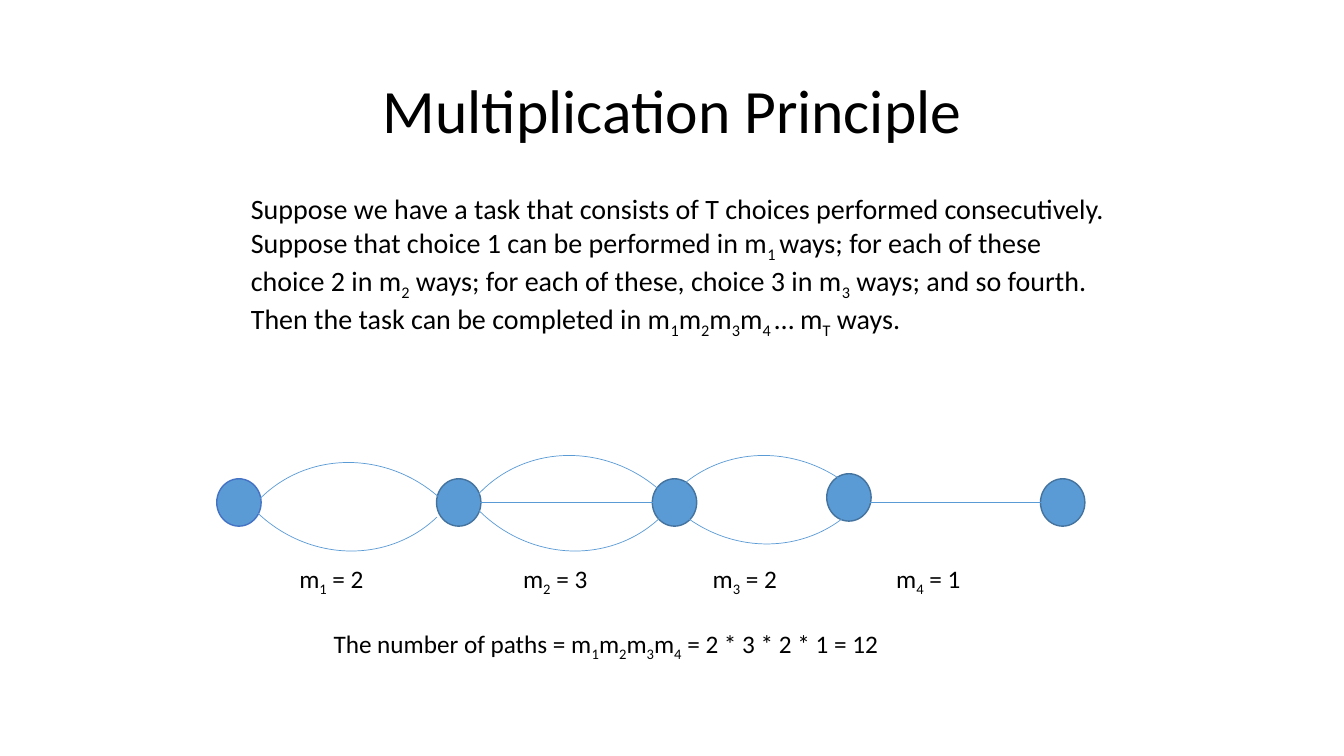
"""Builds a slide on the multiplication principle with a diagram of paths."""
from lxml import etree
from pptx import Presentation
from pptx.dml.color import RGBColor
from pptx.enum.shapes import MSO_CONNECTOR, MSO_SHAPE
from pptx.enum.text import MSO_ANCHOR, PP_ALIGN
from pptx.oxml.ns import qn
from pptx.util import Inches, Pt

OVAL, ARC = MSO_SHAPE.OVAL, MSO_SHAPE.ARC
STRAIGHT = MSO_CONNECTOR.STRAIGHT
CENTER, MIDDLE = PP_ALIGN.CENTER, MSO_ANCHOR.MIDDLE
BLUE, DARK_BLUE, ROYAL, BLACK = "5B9BD5", "43739E", "4472C4", "000000"


def color(value):
    return RGBColor.from_string(value)


def add_text(text, x, y, w, h, size):
    """Adds a text box; parts between bars become subscripts."""
    tf = s.shapes.add_textbox(Inches(x), Inches(y), Inches(w), Inches(h)).text_frame
    tf.word_wrap = True
    p = tf.paragraphs[0]
    for i, part in enumerate(text.split("|")):
        r = p.add_run()
        r.text = part
        r.font.size = Pt(size)
        r.font.name = "Calibri"
        r.font.color.rgb = color(BLACK)
        if i % 2:
            r.font._element.set("baseline", "-25000")


prs = Presentation()
prs.slide_width, prs.slide_height = Inches(13.33), Inches(7.5)
s = prs.slides.add_slide(prs.slide_layouts[5])

title = s.shapes.title
title.left, title.top = Inches(0.92), Inches(0.4)
title.width, title.height = Inches(11.5), Inches(1.45)
tf = title.text_frame
tf.text = "Multiplication Principle"
tf.vertical_anchor = MIDDLE
p = tf.paragraphs[0]
p.alignment = CENTER
p.line_spacing = 0.9
p.font.size = Pt(44)
p.font.name = "Calibri"
p.font.color.rgb = color(BLACK)

add_text("Suppose we have a task that consists of T choices performed consecutively. "
         "Suppose that choice 1 can be performed in m|1 |ways; for each of these "
         "choice 2 in m|2| ways; for each of these, choice 3 in m|3| ways; and so "
         "fourth. Then the task can be completed in m|1|m|2|m|3|m|4 |… m|T| ways.",
         2.39, 1.85, 8.7, 1.45, 20)

nodes = [(2.15, 4.75, ROYAL), (4.33, 4.75, DARK_BLUE), (6.47, 4.75, DARK_BLUE),
         (8.2, 4.7, DARK_BLUE), (10.32, 4.75, DARK_BLUE)]
for x, y, outline in nodes:
    node = s.shapes.add_shape(OVAL, Inches(x), Inches(y), Inches(0.44), Inches(0.47))
    node.shadow.inherit = False
    node.fill.solid()
    node.fill.fore_color.rgb = color(BLUE)
    node.line.color.rgb = color(outline)
    node.line.width = Pt(1)

UPPER, LOWER = 312.1, 136.1
arcs = [(2.27, 4.55, UPPER), (4.46, 4.48, UPPER), (6.39, 4.48, UPPER),
        (2.16, 2.85, LOWER), (4.38, 2.85, LOWER), (6.28, 2.78, LOWER)]
for x, y, angle in arcs:
    arc = s.shapes.add_shape(ARC, Inches(x), Inches(y), Inches(2.51), Inches(2.65))
    arc.rotation = angle
    arc.shadow.inherit = False
    arc.fill.background()
    arc.line.color.rgb = color(BLUE)
    arc.line.width = Pt(0.5)

for x in (4.54, 8.28):
    path = s.shapes.add_connector(STRAIGHT, Inches(x), Inches(4.98),
                                  Inches(x + 2.15), Inches(4.98))
    path.line.color.rgb = color(BLUE)
    path.line.width = Pt(0.5)
    etree.SubElement(path._element.spPr, qn("a:effectLst"))

choices = [(2.87, 2), (5.09, 3), (6.97, 2), (8.79, 1)]
for i, (x, ways) in enumerate(choices, 1):
    add_text(f"m|{i}| = {ways}", x, 5.54, 1.2, 0.4, 18)
add_text("The number of paths = m|1|m|2|m|3|m|4| = 2 * 3 * 2 * 1 = 12",
         3.21, 6.18, 7.4, 0.4, 18)

prs.save("out.pptx")
